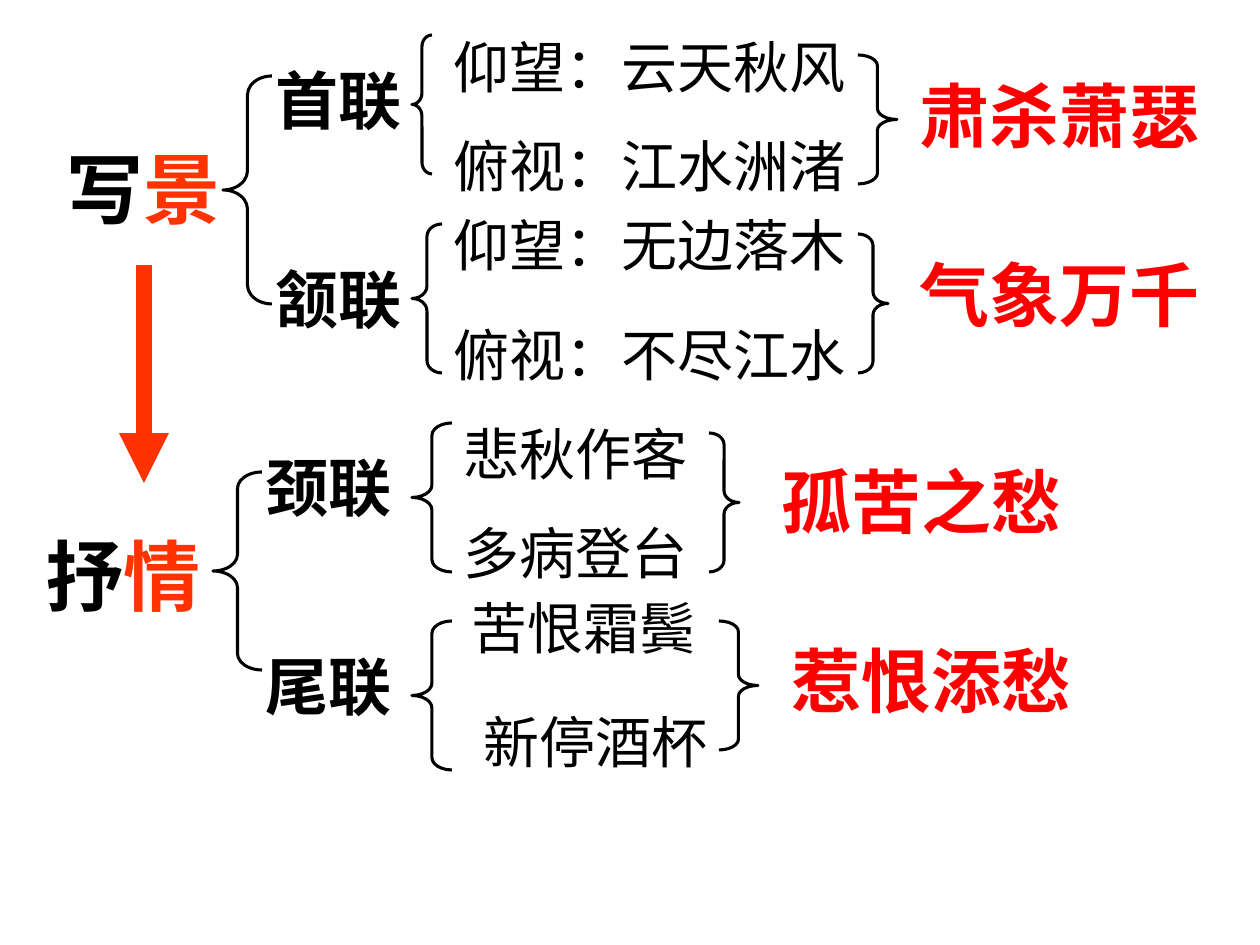
from dataclasses import dataclass

from lxml import etree
from pptx import Presentation
from pptx.dml.color import RGBColor
from pptx.enum.lang import MSO_LANGUAGE_ID
from pptx.enum.shapes import MSO_CONNECTOR, MSO_SHAPE
from pptx.enum.text import MSO_AUTO_SIZE
from pptx.oxml.ns import qn
from pptx.util import Emu, Pt

LEFT_BRACE = MSO_SHAPE.LEFT_BRACE
RIGHT_BRACE = MSO_SHAPE.RIGHT_BRACE
STRAIGHT = MSO_CONNECTOR.STRAIGHT
FIT_SHAPE = MSO_AUTO_SIZE.SHAPE_TO_FIT_TEXT
CHINESE = MSO_LANGUAGE_ID.SIMPLIFIED_CHINESE


@dataclass(frozen=True)
class Theme:
    font: str = "Calibri"
    ink: str = "000000"
    accent: str = "FF3300"
    mood: str = "FF0000"
    theme_size: int = 44
    couplet_size: int = 36
    detail_size: int = 32
    mood_size: int = 40
    brace_width: float = 1.75
    arrow_width: float = 9.5


THEME = Theme()
SLIDE_WIDTH, SLIDE_HEIGHT = 1260, 945
EMU_PER_PX = 914400 / 126
BRACE_CURVE = 1 / 12

HALVES = [
    {"plain": "写", "accent": "景", "box": (54, 135, 218, 105), "brace": (223, 76, 49, 228)},
    {"plain": "抒", "accent": "情", "box": (34, 522, 228, 105), "brace": (213, 472, 49, 198)},
]
ARROW = (144, 265, 144, 483)

COUPLETS = [
    {
        "name": ("首联", 263, 55),
        "open": (412, 35, 20, 139),
        "details": [("仰望：云天秋风", 441, 26, 476), ("俯视：江水洲渚", 441, 125, 446)],
        "close": (858, 55, 39, 129),
        "mood": ("肃杀萧瑟", 907, 66),
    },
    {
        "name": ("颔联", 263, 254),
        "open": (412, 224, 30, 149),
        "details": [("仰望：无边落木", 441, 204, 420), ("俯视：不尽江水", 441, 314, 420)],
        "close": (858, 234, 30, 139),
        "mood": ("气象万千", 907, 245),
    },
    {
        "name": ("颈联", 253, 442),
        "open": (412, 423, 40, 149),
        "details": [("悲秋作客", 451, 413, 297), ("多病登台", 451, 512, 252)],
        "close": (709, 433, 30, 139),
        "mood": ("孤苦之愁", 769, 452),
    },
    {
        "name": ("尾联", 253, 641),
        "open": (412, 621, 40, 149),
        "details": [("苦恨霜鬓", 459, 587, 252), ("新停酒杯", 471, 701, 252)],
        "close": (719, 621, 39, 129),
        "mood": ("惹恨添愁", 779, 631),
    },
]
NAME_SIZE = (154, 89)
MOOD_SIZE = (309, 97)
DETAIL_HEIGHT = 79


def px(value):
    return Emu(round(value * EMU_PER_PX))


def add_text(slide, *parts, box, size, bold=False):
    shape = slide.shapes.add_textbox(*map(px, box))
    frame = shape.text_frame
    frame.word_wrap = True
    frame.auto_size = FIT_SHAPE
    paragraph = frame.paragraphs[0]
    for text, color in parts:
        run = paragraph.add_run()
        run.text = text
        font = run.font
        font.name = THEME.font
        font.size = Pt(size)
        font.bold = bold
        font.color.rgb = RGBColor.from_string(color)
        font.language_id = CHINESE


def add_brace(slide, kind, box):
    shape = slide.shapes.add_shape(kind, *map(px, box))
    width, height = box[2:]
    shape.adjustments[0] = height * BRACE_CURVE / width
    shape.shadow.inherit = False
    shape.fill.background()
    shape.line.color.rgb = RGBColor.from_string(THEME.ink)
    shape.line.width = Pt(THEME.brace_width)


def add_arrow(slide, ends):
    connector = slide.shapes.add_connector(STRAIGHT, *map(px, ends))
    connector.line.color.rgb = RGBColor.from_string(THEME.accent)
    connector.line.width = Pt(THEME.arrow_width)
    properties = connector._element.spPr
    etree.SubElement(properties.find(qn("a:ln")), qn("a:tailEnd"), type="triangle")
    etree.SubElement(properties, qn("a:effectLst"))


def add_couplet(slide, couplet):
    name, left, top = couplet["name"]
    add_text(slide, (name, THEME.ink), box=(left, top, *NAME_SIZE),
             size=THEME.couplet_size, bold=True)
    add_brace(slide, LEFT_BRACE, couplet["open"])
    for text, left, top, width in couplet["details"]:
        add_text(slide, (text, THEME.ink), box=(left, top, width, DETAIL_HEIGHT),
                 size=THEME.detail_size)
    add_brace(slide, RIGHT_BRACE, couplet["close"])
    mood, left, top = couplet["mood"]
    add_text(slide, (mood, THEME.mood), box=(left, top, *MOOD_SIZE),
             size=THEME.mood_size, bold=True)


def main():
    presentation = Presentation()
    presentation.slide_width = px(SLIDE_WIDTH)
    presentation.slide_height = px(SLIDE_HEIGHT)
    slide = presentation.slides.add_slide(presentation.slide_layouts[6])
    for half in HALVES:
        add_text(slide, (half["plain"], THEME.ink), (half["accent"], THEME.accent),
                 box=half["box"], size=THEME.theme_size, bold=True)
        add_brace(slide, LEFT_BRACE, half["brace"])
    for couplet in COUPLETS:
        add_couplet(slide, couplet)
    add_arrow(slide, ARROW)
    presentation.save("out.pptx")


if __name__ == "__main__":
    main()
